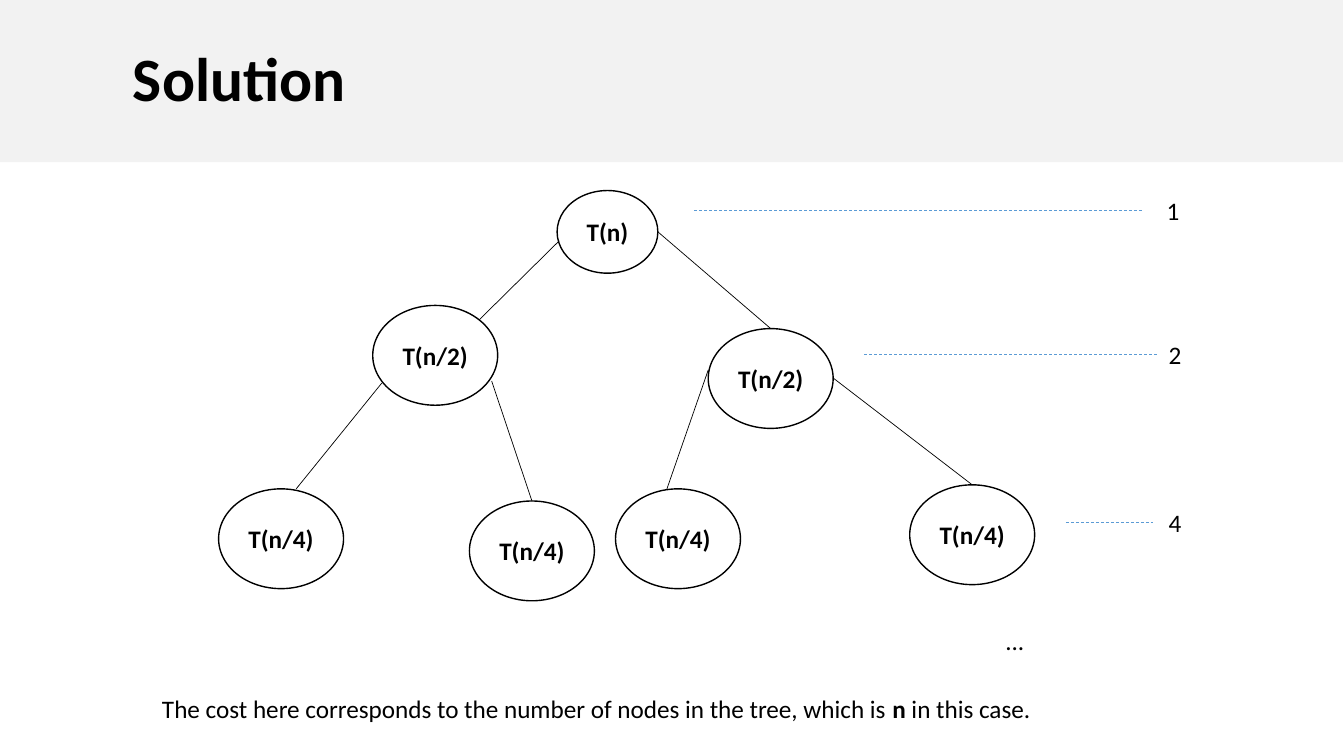
from pptx import Presentation
from pptx.dml.color import RGBColor
from pptx.enum.dml import MSO_LINE
from pptx.enum.shapes import MSO_CONNECTOR, MSO_SHAPE
from pptx.enum.text import MSO_ANCHOR, PP_ALIGN
from pptx.oxml.ns import qn
from pptx.util import Emu, Pt

PX = 9144  # EMU; 100 px to the inch
FONT = "Calibri"
BLACK = RGBColor(0x00, 0x00, 0x00)
WHITE = RGBColor(0xFF, 0xFF, 0xFF)
BAND_GREY = RGBColor(0xF2, 0xF2, 0xF2)
LEVEL_BLUE = RGBColor(0x5B, 0x9B, 0xD5)

SLIDE_SIZE = (1334, 750)
TITLE = "Solution"
TITLE_BAND = (0, 0, 1333, 161)
TITLE_INDENT = 132

ROOT_SIZE = (100, 82)
NODE_SIZE = (124, 99)
# label, left, top, size
NODES = [
    ("T(n)", 553, 189, ROOT_SIZE),
    ("T(n/2)", 370, 303, NODE_SIZE),
    ("T(n/2)", 703, 326, NODE_SIZE),
    ("T(n/4)", 217, 485, NODE_SIZE),
    ("T(n/4)", 466, 497, NODE_SIZE),
    ("T(n/4)", 611, 485, NODE_SIZE),
    ("T(n/4)", 903, 481, NODE_SIZE),
]
# parent x, y, child x, y
BRANCHES = [
    (555, 239, 476, 317),
    (653, 230, 765, 326),
    (379, 380, 294, 485),
    (488, 378, 528, 497),
    (703, 367, 646, 531 - 46),
    (827, 375, 965, 481),
]
BRANCHES[4] = (703, 367, 662, 485)
# cost, label left, label top, guide start, guide end
LEVELS = [
    ("1", 1148, 189, 689, 1135),
    ("2", 1150, 332, 858, 1148),
    ("4", 1150, 498, 1058, 1144),
]
LABEL_SIZE = (32, 40)
GUIDE_DROP = 20
# runs of (text, bold), box
ELLIPSIS = ([("...", False)], (988, 615, 39, 40))
CONCLUSION = (
    [
        ("The cost here corresponds to the number of nodes in the tree, which is ", False),
        ("n", True),
        (" in this case.", False),
    ],
    (151, 683, 884, 40),
)


def px(*lengths):
    return [Emu(length * PX) for length in lengths]


def write(frame, runs, size=18):
    """Fill the first paragraph with (text, bold) runs."""
    paragraph = frame.paragraphs[0]
    for text, bold in runs:
        run = paragraph.add_run()
        run.text = text
        run.font.name = FONT
        run.font.size = Pt(size)
        run.font.bold = bold
        run.font.color.rgb = BLACK
    return paragraph


def add_filled(slide, preset, box, fill):
    shape = slide.shapes.add_shape(preset, *px(*box))
    shape.shadow.inherit = False
    shape.fill.solid()
    shape.fill.fore_color.rgb = fill
    shape.text_frame.vertical_anchor = MSO_ANCHOR.MIDDLE
    return shape


def add_title(slide):
    band = add_filled(slide, MSO_SHAPE.RECTANGLE, TITLE_BAND, BAND_GREY)
    band.line.fill.background()
    band.text_frame.margin_left = Emu(TITLE_INDENT * PX)
    paragraph = write(band.text_frame, [(TITLE, True)], 44)
    paragraph.alignment = PP_ALIGN.LEFT
    paragraph.line_spacing = 0.9


def add_node(slide, label, left, top, size):
    node = add_filled(slide, MSO_SHAPE.OVAL, (left, top, *size), WHITE)
    node.line.color.rgb = BLACK
    node.line.width = Pt(1)
    write(node.text_frame, [(label, True)]).alignment = PP_ALIGN.CENTER


def add_line(slide, ends, color, dash=None):
    line = slide.shapes.add_connector(MSO_CONNECTOR.STRAIGHT, *px(*ends))
    line.line.color.rgb = color
    line.line.width = Pt(0.5)
    if dash:
        line.line.dash_style = dash
    properties = line._element.spPr
    properties.append(properties.makeelement(qn("a:effectLst"), {}))


def add_text(slide, runs, box):
    frame = slide.shapes.add_textbox(*px(*box)).text_frame
    frame.word_wrap = False
    write(frame, runs)


def main():
    deck = Presentation()
    deck.slide_width, deck.slide_height = px(*SLIDE_SIZE)
    slide = deck.slides.add_slide(deck.slide_layouts[6])

    add_title(slide)
    for node in NODES:
        add_node(slide, *node)
    for branch in BRANCHES:
        add_line(slide, branch, BLACK)
    for cost, left, top, start, end in LEVELS:
        add_text(slide, [(cost, False)], (left, top, *LABEL_SIZE))
        guide_y = top + GUIDE_DROP
        add_line(slide, (start, guide_y, end, guide_y), LEVEL_BLUE, MSO_LINE.DASH)
    add_text(slide, *ELLIPSIS)
    add_text(slide, *CONCLUSION)

    deck.save("out.pptx")


if __name__ == "__main__":
    main()
